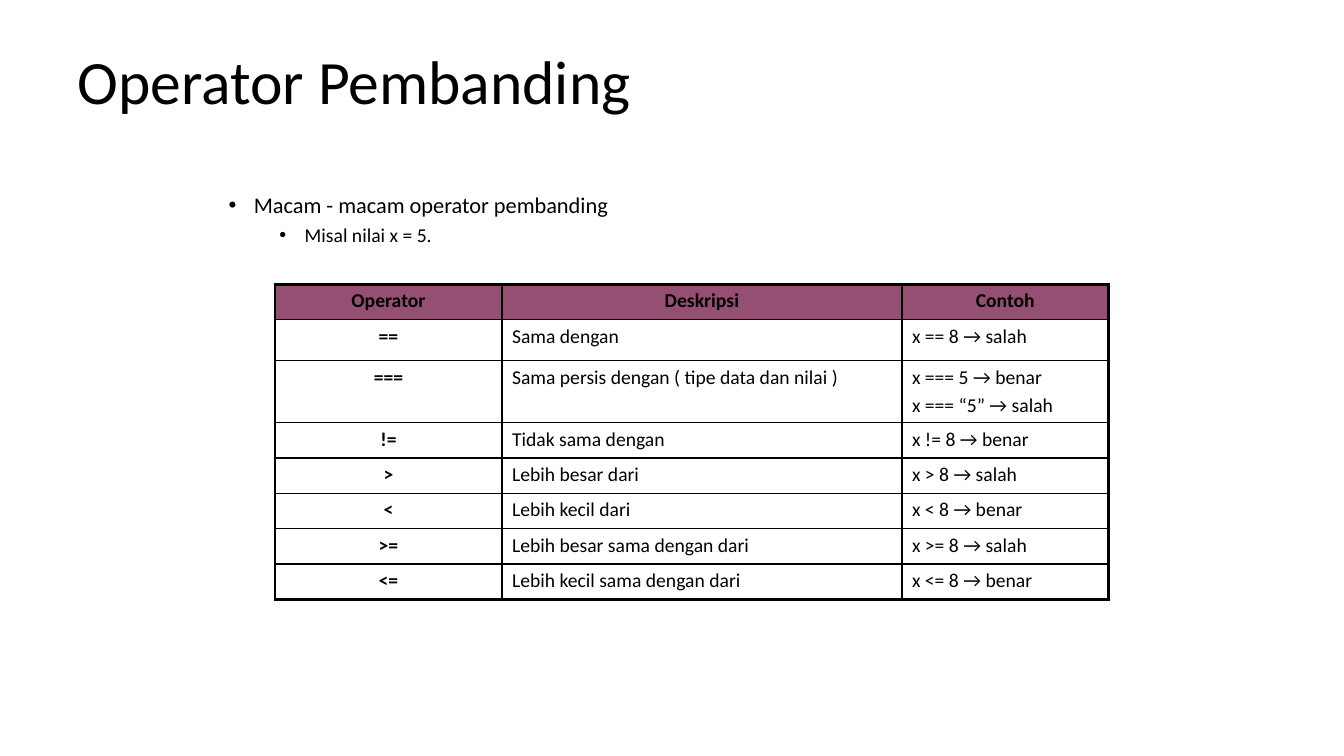
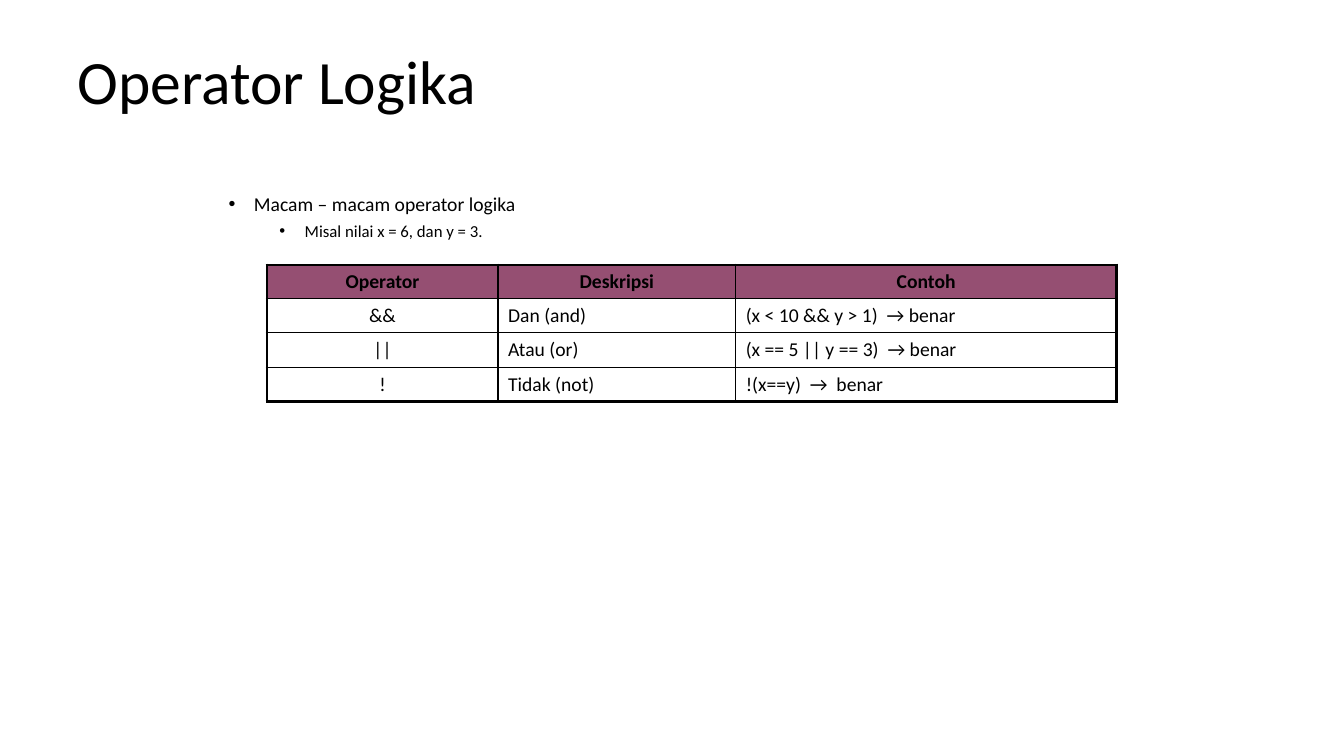
import pptx
import pptx.util
import pptx.dml.color
import pptx.enum.text
import pptx.oxml
import pptx.oxml.ns

Cm, Pt = pptx.util.Cm, pptx.util.Pt
ALIGN = pptx.enum.text.PP_ALIGN
ANCHOR = pptx.enum.text.MSO_ANCHOR
NS = pptx.oxml.ns.nsdecls("a")

# Shared look
FONT = "Calibri"
BLACK, PLUM = "000000", "954F72"
THICK, THIN = 2.25, 1
INDENT = 0.64
HEADS = ["Operator", "Deskripsi", "Contoh"]

# Content of each slide
SLIDES = [
    {
        "title": "Operator Pembanding",
        "points": ["Macam - macam operator pembanding", "Misal nilai x = 5."],
        "sizes": [16, 14],
        "place": (6.93, 7.16),
        "cols": [5.72, 10.08, 5.21],
        "rows": [0.89, 1.04, 1.56] + [0.89] * 5,
        "bold": True,
        "cells": [
            ["==", "Sama dengan", "x == 8 → salah"],
            ["===", "Sama persis dengan ( tipe data dan nilai )",
             "x === 5 → benar\nx === “5” → salah"],
            ["!=", "Tidak sama dengan", "x != 8 → benar"],
            [">", "Lebih besar dari", "x > 8 → salah"],
            ["<", "Lebih kecil dari", "x < 8 → benar"],
            [">=", "Lebih besar sama dengan dari", "x >= 8 → salah"],
            ["<=", "Lebih kecil sama dengan dari", "x <= 8 → benar"],
        ],
    },
    {
        "title": "Operator Logika",
        "points": ["Macam – macam operator logika", "Misal nilai x = 6, dan y = 3."],
        "sizes": [14, 12],
        "place": (6.73, 6.68),
        "cols": [5.82, 5.99, 9.6],
        "rows": [0.85, 0.85, 0.89, 0.85],
        "bold": False,
        "cells": [
            ["&&", "Dan (and)", "(x < 10 && y > 1)  → benar"],
            ["||", "Atau (or)", "(x == 5 || y == 3)  → benar"],
            ["!", "Tidak (not)", "!(x==y)  →  benar"],
        ],
    },
]


def color(code):
    return pptx.dml.color.RGBColor.from_string(code)


def style(part, looks):
    for name, value in looks.items():
        setattr(part, name, value)


def write(para, text, size, bold=False, **looks):
    """Fill one paragraph and apply its format."""
    para.text = text
    style(para, looks)
    style(para.font, {"name": FONT, "size": Pt(size), "bold": bold})
    para.font.color.rgb = color(BLACK)


def add_box(slide, left, top, width, height, anchor=ANCHOR.TOP):
    box = slide.shapes.add_textbox(Cm(left), Cm(top), Cm(width), Cm(height))
    style(box.text_frame, {"word_wrap": True, "vertical_anchor": anchor})
    return box.text_frame


def add_title(slide, text):
    frame = add_box(slide, 1.7, 0.33, 27.94, 3.61, ANCHOR.MIDDLE)
    write(frame.paragraphs[0], text, 44, line_spacing=0.9)


def add_points(slide, points, sizes):
    """Each point goes one level deeper than the one before."""
    frame = add_box(slide, 5.51, 4.78, 23, 1.75)
    for level, (text, size) in enumerate(zip(points, sizes)):
        para = frame.add_paragraph() if level else frame.paragraphs[0]
        write(para, text, size, level=level, line_spacing=0.9,
              space_before=Pt(5 if level else 10))
        props = para._p.get_or_add_pPr()
        props.set("marL", str(Cm(INDENT * (1 + 2 * level))))
        props.set("indent", str(-Cm(INDENT)))
        for mark in ('buFont {} typeface="Arial"', 'buChar {} char="•"'):
            props.append(pptx.oxml.parse_xml(f"<a:{mark.format(NS)}/>"))


def edge(cell, sides):
    """Draw cell borders; sides maps L, R, T, B to a width in points."""
    props = cell._tc.get_or_add_tcPr()
    for spot, (side, width) in enumerate(sides.items()):
        props.insert(spot, pptx.oxml.parse_xml(
            f'<a:ln{side} {NS} w="{Pt(width)}"><a:solidFill>'
            f'<a:srgbClr val="{BLACK}"/></a:solidFill></a:ln{side}>'))


def fill_cell(cell, text, head, first, bold):
    if head:
        cell.fill.solid()
        cell.fill.fore_color.rgb = color(PLUM)
    else:
        cell.fill.background()
    cell.text = text
    for para in cell.text_frame.paragraphs:
        write(para, para.text, 14, head or (first and bold),
              alignment=ALIGN.CENTER if head or first else ALIGN.LEFT,
              space_before=Pt(2.8))


def add_grid(slide, place, cols, rows, cells, bold):
    size = (sum(cols), sum(rows))
    grid = slide.shapes.add_table(len(rows), len(cols), *map(Cm, place + size)).table
    style(grid, {"first_row": False, "horz_banding": False})
    for col, width in zip(grid.columns, cols):
        col.width = Cm(width)
    for row, height in zip(grid.rows, rows):
        row.height = Cm(height)
    for y, line in enumerate([HEADS] + cells):
        for x, text in enumerate(line):
            cell = grid.cell(y, x)
            fill_cell(cell, text, y == 0, x == 0, bold)
            outer = {"L": x == 0, "R": x == len(cols) - 1,
                     "T": y == 0, "B": y == len(rows) - 1}
            edge(cell, {side: THICK if out else THIN for side, out in outer.items()})


def main():
    deck = pptx.Presentation()
    style(deck, {"slide_width": Cm(33.87), "slide_height": Cm(19.05)})
    for page in SLIDES:
        slide = deck.slides.add_slide(deck.slide_layouts[6])
        add_title(slide, page["title"])
        add_points(slide, page["points"], page["sizes"])
        add_grid(slide, page["place"], page["cols"], page["rows"],
                 page["cells"], page["bold"])
    deck.save("out.pptx")


if __name__ == "__main__":
    main()
